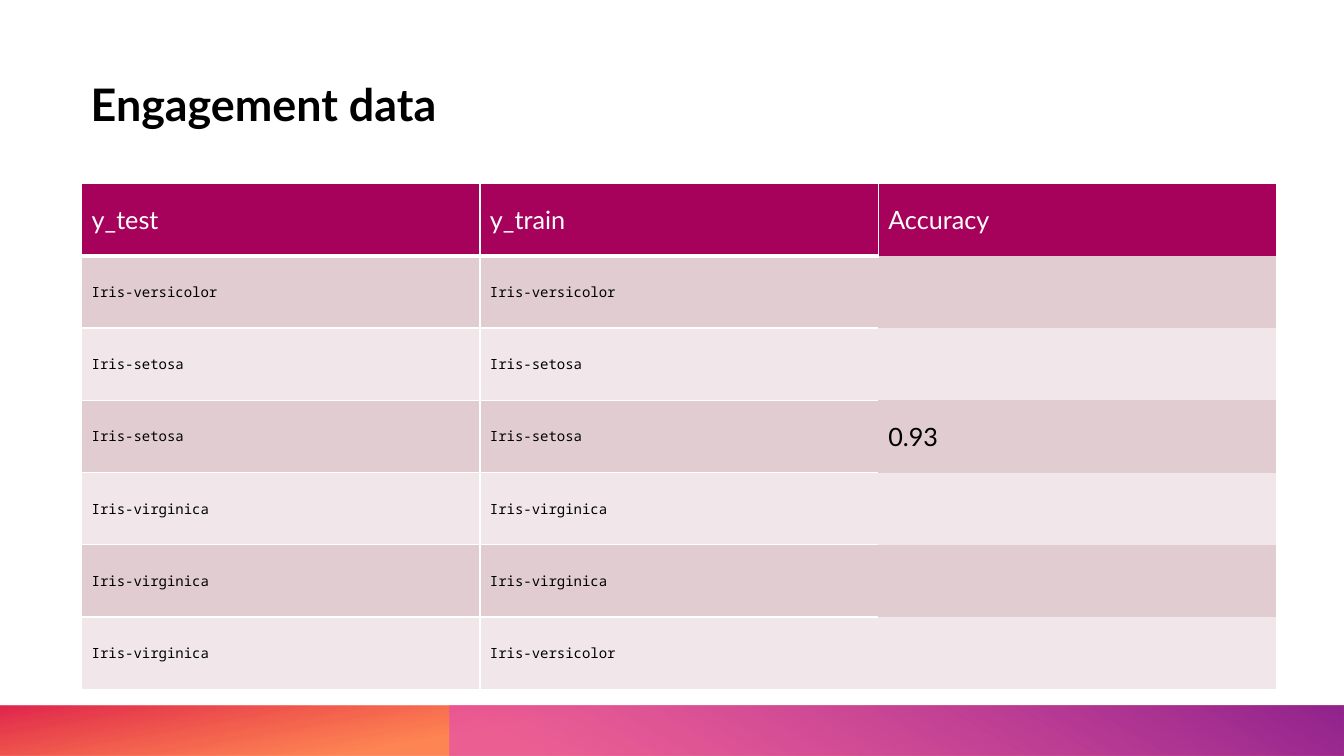
from typing import NamedTuple

from lxml import etree
from pptx import Presentation
from pptx.dml.color import RGBColor
from pptx.enum.shapes import MSO_SHAPE as Shape
from pptx.enum.text import MSO_ANCHOR as Anchor, MSO_AUTO_SIZE as AutoSize, PP_ALIGN as Align
from pptx.oxml.ns import qn
from pptx.util import Pt

PX = 9144  # EMU per px, 100 px to the inch
WHITE, BLACK, MAGENTA = "FFFFFF", "000000", "A6025C"
BANDS = ("E1CCD2", "F1E7EA")
SIDES = {"l": "a:lnL", "r": "a:lnR", "t": "a:lnT", "b": "a:lnB"}


class Stop(NamedTuple):
    pos: int
    color: str
    alpha: int


class Bar(NamedTuple):
    left: int
    width: int
    angle: int
    stops: tuple[Stop, ...]


class Style(NamedTuple):
    font: str
    size: int
    color: str
    bold: bool = False


TITLE = Style("Lato", 32, BLACK, True)
HEADER = Style("Lato", 18, WHITE)
LABEL = Style("Noto Sans Mono", 10, BLACK)
SCORE = Style("Lato", 18, BLACK)

BARS = (
    Bar(0, 1333, 260, (Stop(62, "FE4A00", 67), Stop(100, "DA002F", 85))),
    Bar(446, 887, 300, (Stop(9, "E349BB", 62), Stop(99, "92248E", 100))),
)
ROWS = (
    ("y_test", "y_train", "Accuracy"),
    ("Iris-versicolor", "Iris-versicolor", ""),
    ("Iris-setosa", "Iris-setosa", ""),
    ("Iris-setosa", "Iris-setosa", "0.93"),
    ("Iris-virginica", "Iris-virginica", ""),
    ("Iris-virginica", "Iris-virginica", ""),
    ("Iris-virginica", "Iris-versicolor", ""),
)


def box(*lengths: int) -> list[int]:
    return [n * PX for n in lengths]


def rgb(color: str) -> RGBColor:
    return RGBColor.from_string(color)


def add(parent, tag: str, **attrs):
    return etree.SubElement(parent, qn(tag), {k: str(v) for k, v in attrs.items()})


def write(tf, text: str, style: Style) -> None:
    p = tf.paragraphs[0]
    p.alignment = Align.LEFT
    r = p.add_run()
    r.text = text
    formats = {"name": style.font, "size": Pt(style.size), "bold": style.bold}
    for name, value in formats.items():
        setattr(r.font, name, value)
    r.font.color.rgb = rgb(style.color)


def draw_bar(slide, bar: Bar) -> None:
    s = slide.shapes.add_shape(Shape.RECTANGLE, *box(bar.left, 700, bar.width, 50))
    s.shadow.inherit = False
    s.line.fill.background()
    s.fill.gradient()
    grad = s._element.spPr.find(qn("a:gradFill"))
    for child in list(grad):
        grad.remove(child)
    stops = add(grad, "a:gsLst")
    for stop in bar.stops:
        gs = add(stops, "a:gs", pos=stop.pos * 1000)
        color = add(gs, "a:srgbClr", val=stop.color)
        add(color, "a:alpha", val=stop.alpha * 1000)
    add(grad, "a:lin", ang=bar.angle * 60000, scaled=0)


def border_widths(row: int, col: int) -> dict[str, int]:
    """White rules in points; the accuracy column has none below its header."""
    if row == 0:
        widths = {"l": 1, "r": 1, "t": 1, "b": 3}
        return widths if col < 2 else widths | {"b": 0}
    return (dict.fromkeys("lrtb", 1), dict.fromkeys("ltb", 1), {})[col]


def draw_borders(cell, widths: dict[str, int]) -> None:
    tc_pr = cell._tc.get_or_add_tcPr()
    for side, tag in SIDES.items():
        width = widths.get(side, 0)
        ln = add(tc_pr, tag, w=Pt(width))
        if width:
            add(add(ln, "a:solidFill"), "a:srgbClr", val=WHITE)
        else:
            add(ln, "a:noFill")


def draw_table(slide) -> None:
    frame = slide.shapes.add_table(len(ROWS), len(ROWS[0]), *box(81, 182, 1185, 502))
    for i, row in enumerate(ROWS):
        for j, text in enumerate(row):
            cell = frame.table.cell(i, j)
            draw_borders(cell, border_widths(i, j))
            cell.fill.solid()
            cell.fill.fore_color.rgb = rgb(BANDS[(i - 1) % 2] if i else MAGENTA)
            cell.vertical_anchor = Anchor.MIDDLE
            if text:
                style = HEADER if i == 0 else SCORE if j == 2 else LABEL
                write(cell.text_frame, text, style)


def draw_title(slide) -> None:
    s = slide.shapes.title
    s.left, s.top, s.width, s.height = box(80, 77, 1185, 105)
    tf = s.text_frame
    formats = {"word_wrap": True, "auto_size": AutoSize.NONE, "vertical_anchor": Anchor.TOP}
    for name, value in formats.items():
        setattr(tf, name, value)
    write(tf, "Engagement data", TITLE)
    tf.paragraphs[0].line_spacing = 0.9


def main() -> None:
    prs = Presentation()
    prs.slide_width, prs.slide_height = box(1333, 750)
    slide = prs.slides.add_slide(prs.slide_layouts[5])

    # Footer bars, the second laid over the first
    for bar in BARS:
        draw_bar(slide, bar)

    # Title and results
    draw_title(slide)
    draw_table(slide)
    prs.save("out.pptx")


if __name__ == "__main__":
    main()
